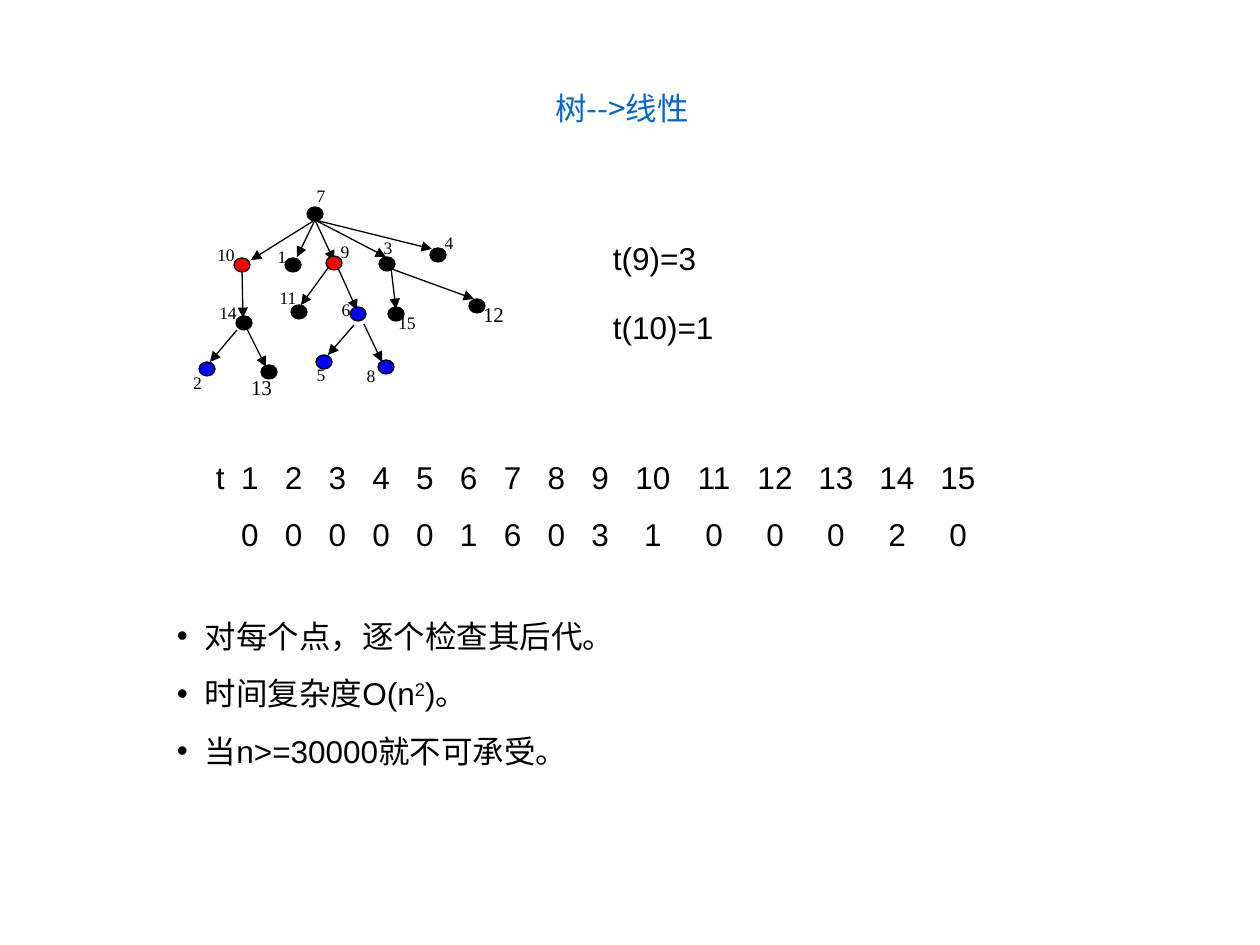
from dataclasses import dataclass
from typing import NamedTuple

from lxml import etree
from pptx import Presentation
from pptx.dml.color import RGBColor
from pptx.enum import shapes, text
from pptx.oxml import ns
from pptx import util as u

PIXEL = u.Inches(10) / 1260


@dataclass(frozen=True)
class Theme:
    """Colours, fonts and sizes of the slide."""
    black: str = "000000"
    red: str = "FF0000"
    blue: str = "0000FF"
    title: str = "0066CC"
    sans: str = "Arial"
    serif: str = "Times New Roman"
    cjk: str = "Noto Sans CJK SC"
    body_size: int = 18
    small: int = 10
    medium: int = 12
    line: float = 0.74
    gap: float = 11.2


THEME = Theme()


class Node(NamedTuple):
    """One tree node with its label place and the arrow that leads to it."""
    name: str
    place: tuple
    label: tuple
    start: tuple = None
    end: tuple = None
    color: str = THEME.black
    size: int = THEME.small
    align: text.PP_ALIGN = text.PP_ALIGN.CENTER


LEFT = text.PP_ALIGN.LEFT
ROOT_EXIT = (315, 220)
NODES = [
    Node("7", (307, 207), (305, 185)),
    Node("10", (234, 258), (210, 244), ROOT_EXIT, (251, 260), THEME.red),
    Node("1", (285, 258), (266, 246), ROOT_EXIT, (297, 257)),
    Node("9", (326, 256), (329, 241), ROOT_EXIT, (334, 261), THEME.red),
    Node("3", (379, 257), (372, 237), ROOT_EXIT, (386, 257)),
    Node("4", (430, 248), (433, 232), ROOT_EXIT, (432, 249)),
    Node("14", (236, 316), (212, 302), (242, 268), (243, 318)),
    Node("2", (199, 362), (193, 372), (237, 330), (210, 362), THEME.blue, align=LEFT),
    Node("13", (261, 365), (251, 375), (247, 329), (266, 367),
         size=THEME.medium, align=LEFT),
    Node("11", (291, 305), (272, 287), (328, 268), (301, 305)),
    Node("6", (350, 307), (330, 299), (338, 268), (357, 310), THEME.blue),
    Node("5", (316, 355), (305, 364), (354, 325), (328, 355), THEME.blue),
    Node("8", (378, 360), (355, 365), (364, 324), (382, 362), THEME.blue),
    Node("15", (388, 307), (391, 312), (391, 268), (396, 309)),
    Node("12", (469, 299), (483, 302), (389, 268), (474, 299),
         size=THEME.medium, align=LEFT),
]
DESCENDANTS = [0, 0, 0, 0, 0, 1, 6, 0, 3, 1, 0, 0, 0, 2, 0]
FINDINGS = ["对每个点，逐个检查其后代。", "时间复杂度O(n^2^)。", "当n>=30000就不可承受。"]


def px(*lengths):
    """Turn pixels into EMU."""
    return [u.Emu(round(length * PIXEL)) for length in lengths]


def add_xml(parent, tag, **attributes):
    """Append a DrawingML child element."""
    return etree.SubElement(parent, ns.qn(tag), attributes)


def style_run(run, size, face, color):
    """Set size, faces and colour of a run."""
    run.font.size = u.Pt(size)
    run.font.name = face
    run.font.color.rgb = RGBColor.from_string(color)
    add_xml(run.font._element, "a:ea", typeface=THEME.cjk)


def add_text(slide, place, lines, size=THEME.body_size, face=THEME.sans,
             align=LEFT, inset=(13, 6), gap=THEME.gap):
    """Add a text box; parts between carets are superscript."""
    box = slide.shapes.add_textbox(*px(*place))
    frame = box.text_frame
    frame.word_wrap = True
    frame.margin_left = frame.margin_right = px(inset[0])[0]
    frame.margin_top = frame.margin_bottom = px(inset[1])[0]
    for index, line in enumerate(lines):
        paragraph = frame.add_paragraph() if index else frame.paragraphs[0]
        paragraph.alignment = align
        paragraph.space_before = u.Pt(gap)
        for part, words in enumerate(line.split("^")):
            run = paragraph.add_run()
            run.text = words
            style_run(run, size, face, THEME.black)
            if part % 2:
                run.font._element.set("baseline", "30000")
    return frame


def add_title(slide, words):
    """Place and format the title."""
    heading = slide.shapes.title
    heading.left, heading.top, heading.width, heading.height = px(512, 76, 220, 63)
    frame = heading.text_frame
    frame.text = words
    frame.word_wrap = False
    frame.auto_size = text.MSO_AUTO_SIZE.NONE
    frame.paragraphs[0].alignment = text.PP_ALIGN.CENTER
    style_run(frame.paragraphs[0].runs[0], THEME.body_size, THEME.cjk, THEME.title)


def add_arrow(slide, start, end):
    """Add a thin arrow between two points."""
    arrow = slide.shapes.add_connector(shapes.MSO_CONNECTOR.STRAIGHT, *px(*start, *end))
    arrow.line.width = u.Pt(THEME.line)
    arrow.line.color.rgb = RGBColor.from_string(THEME.black)
    add_xml(arrow.line._get_or_add_ln(), "a:tailEnd", type="triangle")
    add_xml(arrow._element.spPr, "a:effectLst")


def add_node(slide, node):
    """Add a node's dot."""
    dot = slide.shapes.add_shape(shapes.MSO_SHAPE.OVAL, *px(*node.place, 16, 14))
    dot.shadow.inherit = False
    dot.fill.solid()
    dot.fill.fore_color.rgb = RGBColor.from_string(node.color)
    dot.line.width = u.Pt(THEME.line)
    dot.line.color.rgb = RGBColor.from_string(THEME.black)


def add_tree(slide):
    """Draw the arrows, then the dots, then the labels."""
    for node in NODES:
        if node.start:
            add_arrow(slide, node.start, node.end)
    for node in NODES:
        add_node(slide, node)
    for node in NODES:
        add_text(slide, (*node.label, 32, 28), [node.name], node.size, THEME.serif,
                 node.align, inset=(0, 0), gap=0)


def add_counts(slide):
    """Set the node numbers over their descendant counts on centred tab stops."""
    numbers = range(1, len(DESCENDANTS) + 1)
    rows = ["\t".join(["t", *map(str, numbers)]),
            "\t".join(["", *map(str, DESCENDANTS)])]
    frame = add_text(slide, (203, 452, 814, 108), rows)
    stops = [34 + 43.75 * i for i in range(9)] + [437 + 61 * i for i in range(6)]
    for paragraph in frame.paragraphs:
        tabs = add_xml(paragraph._p.get_or_add_pPr(), "a:tabLst")
        for stop in px(*stops):
            add_xml(tabs, "a:tab", pos=str(stop), algn="ctr")


def add_findings(slide):
    """Add the bulleted findings."""
    frame = add_text(slide, (164, 611, 932, 166), FINDINGS)
    hang = px(28)[0]
    for paragraph in frame.paragraphs:
        properties = paragraph._p.get_or_add_pPr()
        properties.set("marL", str(hang))
        properties.set("indent", str(-hang))
        add_xml(properties, "a:buFont", typeface=THEME.sans)
        add_xml(properties, "a:buChar", char="•")


def main():
    """Build and save the slide."""
    deck = Presentation()
    deck.slide_width, deck.slide_height = px(1260, 945)
    slide = deck.slides.add_slide(deck.slide_layouts[5])
    add_title(slide, "树-->线性")
    add_tree(slide)
    add_text(slide, (600, 233, 120, 50), ["t(9)=3"])
    add_text(slide, (600, 302, 139, 50), ["t(10)=1"])
    add_counts(slide)
    add_findings(slide)
    deck.save("out.pptx")


main()
